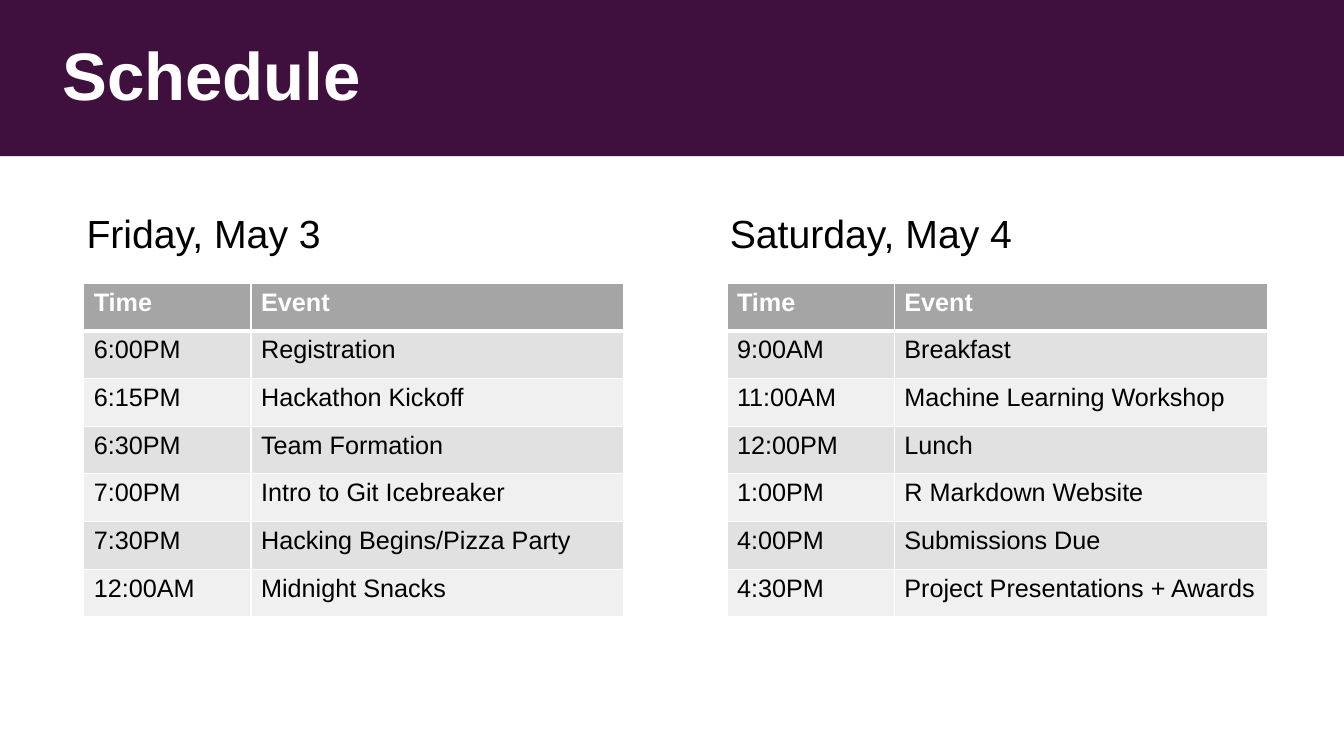
from pptx import Presentation
from pptx import util as u
from pptx.dml import color
from pptx.enum import shapes, text
from pptx.oxml import parse_xml
from pptx.oxml.ns import nsdecls

FONT = "Arial"
PLUM, WHITE, BLACK = "3F0F3E", "FFFFFF", "000000"
HEADER, BANDS = "A5A5A5", ("F0F0F0", "E1E1E1")
TIME_WIDTH, EVENT_WIDTH, TABLE_HEIGHT = 166, 370, 331

FRIDAY = [
    ("6:00PM", "Registration"),
    ("6:15PM", "Hackathon Kickoff"),
    ("6:30PM", "Team Formation"),
    ("7:00PM", "Intro to Git Icebreaker"),
    ("7:30PM", "Hacking Begins/Pizza Party"),
    ("12:00AM", "Midnight Snacks"),
]
SATURDAY = [
    ("9:00AM", "Breakfast"),
    ("11:00AM", "Machine Learning Workshop"),
    ("12:00PM", "Lunch"),
    ("1:00PM", "R Markdown Website"),
    ("4:00PM", "Submissions Due"),
    ("4:30PM", "Project Presentations + Awards"),
]


def px(length):
    """Turn a length at 100 px to the inch into EMU."""
    return u.Emu(length * 9144)


def paint(target, hex_color):
    """Give a shape or cell a solid fill."""
    target.fill.solid()
    target.fill.fore_color.rgb = color.RGBColor.from_string(hex_color)


def write(frame, words, size, hex_color, bold=False):
    """Write one styled paragraph into a text frame."""
    line = frame.paragraphs[0]
    line.text = words
    line.font.name = FONT
    line.font.size = u.Pt(size)
    line.font.bold = bold
    line.font.color.rgb = color.RGBColor.from_string(hex_color)


def add_banner(slide):
    """Draw the band behind the title."""
    banner = slide.shapes.add_shape(
        shapes.MSO_SHAPE.RECTANGLE, 0, 0, px(1333), px(155))
    banner.shadow.inherit = False
    paint(banner, PLUM)
    banner.line.fill.background()


def add_heading(slide, box, words, size, hex_color, bold=False):
    """Place a heading that rests on the bottom of its box."""
    heading = slide.shapes.add_textbox(*map(px, box)).text_frame
    heading.word_wrap = True
    heading.vertical_anchor = text.MSO_ANCHOR.BOTTOM
    write(heading, words, size, hex_color, bold)


def add_borders(cell, top, bottom):
    """Rule a cell in white, with top and bottom widths in points."""
    for side, width in (("L", 1), ("R", 1), ("T", top), ("B", bottom)):
        cell._tc.get_or_add_tcPr().append(parse_xml(
            f'<a:ln{side} {nsdecls("a")} w="{u.Pt(width)}"><a:solidFill>'
            f'<a:srgbClr val="{WHITE}"/></a:solidFill></a:ln{side}>'))


def add_schedule(slide, left, events):
    """Build the timetable of one day."""
    rows = [("Time", "Event"), *events]
    schedule = slide.shapes.add_table(
        len(rows), 2, px(left), px(281),
        px(TIME_WIDTH + EVENT_WIDTH), px(TABLE_HEIGHT)).table
    for column, width in zip(schedule.columns, (TIME_WIDTH, EVENT_WIDTH)):
        column.width = px(width)
    for r, entry in enumerate(rows):
        is_header = r == 0
        schedule.rows[r].height = px(TABLE_HEIGHT) // len(rows)
        for c, words in enumerate(entry):
            cell = schedule.cell(r, c)
            add_borders(cell, 3 if r == 1 else 1, 3 if is_header else 1)
            paint(cell, HEADER if is_header else BANDS[r % 2])
            write(cell.text_frame, words, 18,
                  WHITE if is_header else BLACK, is_header)


def main():
    """Build and save the schedule slide."""
    deck = Presentation()
    deck.slide_width, deck.slide_height = px(1333), px(750)
    slide = deck.slides.add_slide(deck.slide_layouts[6])
    add_banner(slide)
    add_heading(slide, (52, 27, 1205, 91), "Schedule", 48, WHITE, True)
    days = ((76, "Friday, May 3", FRIDAY), (714, "Saturday, May 4", SATURDAY))
    for left, day, events in days:
        add_heading(slide, (left, 202, 362, 57), day, 28, BLACK)
        add_schedule(slide, left + 7, events)
    deck.save("out.pptx")


if __name__ == "__main__":
    main()
